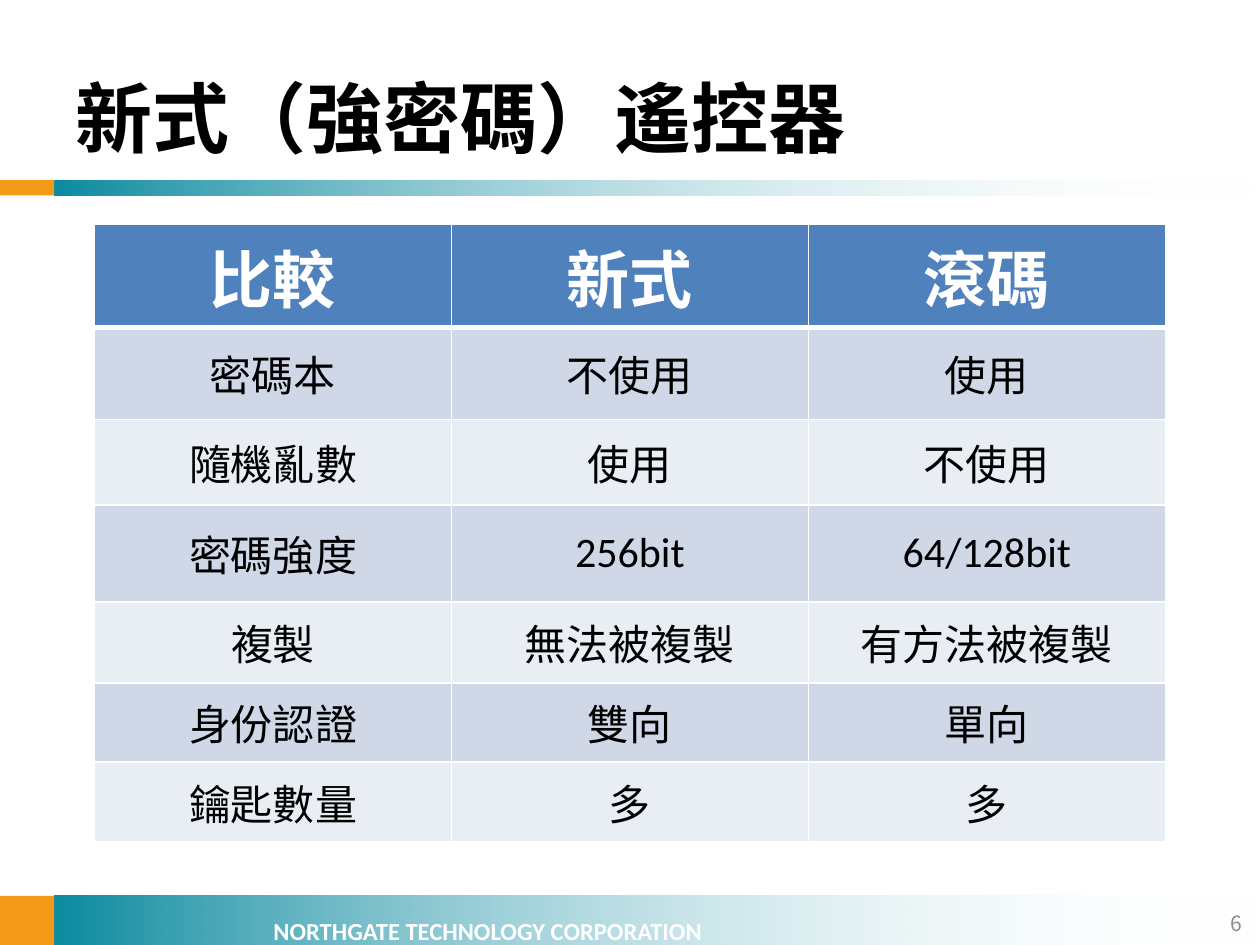
from lxml import etree
from pptx import Presentation
from pptx.dml.color import RGBColor
from pptx.enum.shapes import MSO_SHAPE
from pptx.enum.text import MSO_ANCHOR, PP_ALIGN
from pptx.oxml.ns import qn
from pptx.util import Inches, Pt

RECTANGLE = MSO_SHAPE.RECTANGLE
MIDDLE, TOP = MSO_ANCHOR.MIDDLE, MSO_ANCHOR.TOP
LEFT, CENTER, RIGHT = PP_ALIGN.LEFT, PP_ALIGN.CENTER, PP_ALIGN.RIGHT

WHITE = RGBColor(0xFF, 0xFF, 0xFF)
BLACK = RGBColor(0x00, 0x00, 0x00)
GRAY = RGBColor(0x8C, 0x8C, 0x8C)
TEAL = RGBColor(0x0D, 0x8B, 0xA0)
ORANGE = RGBColor(0xF3, 0x9B, 0x19)
HEADER_BLUE = RGBColor(0x4F, 0x81, 0xBD)
ROW_BANDS = [RGBColor(0xD0, 0xD8, 0xE8), RGBColor(0xE9, 0xED, 0xF4)]

LATIN_FONT = "Calibri"
CJK_FONT = "Noto Sans CJK SC"

# Content
TITLE = "新式（強密碼）遙控器"
COMPANY = "NORTHGATE TECHNOLOGY CORPORATION"
PAGE_NUMBER = "6"
COMPARISON = [
    ("比較", "新式", "滾碼"),
    ("密碼本", "不使用", "使用"),
    ("隨機亂數", "使用", "不使用"),
    ("密碼強度", "256bit", "64/128bit"),
    ("複製", "無法被複製", "有方法被複製"),
    ("身份認證", "雙向", "單向"),
    ("鑰匙數量", "多", "多"),
]
ROW_HEIGHTS = [0.82, 0.73, 0.68, 0.77, 0.64, 0.63, 0.63]

# Layout, in inches
SLIDE_WIDTH, SLIDE_HEIGHT = 10, 7.5
ACCENT_WIDTH = 0.43
BANDS = [(7.11, 0.39), (1.43, 0.12)]  # top, height
TABLE_LEFT, TABLE_TOP, TABLE_WIDTH = 0.75, 1.78, 8.5


def write(frame, text, size, color, font=CJK_FONT, bold=False, align=LEFT):
    frame.text = text
    paragraph = frame.paragraphs[0]
    paragraph.alignment = align
    run = paragraph.runs[0]
    run.font.size = Pt(size)
    run.font.bold = bold
    run.font.color.rgb = color
    run.font.name = font
    east_asian = etree.SubElement(run.font._element, qn("a:ea"))
    east_asian.set("typeface", CJK_FONT)


def add_text(slide, box, text, size, color, anchor=MIDDLE, margin=None, **style):
    frame = slide.shapes.add_textbox(*map(Inches, box)).text_frame
    frame.word_wrap = True
    frame.vertical_anchor = anchor
    if margin is not None:
        frame.margin_left = frame.margin_right = Inches(margin)
        frame.margin_top = frame.margin_bottom = Inches(margin)
    write(frame, text, size, color, **style)


def add_bar(slide, left, top, width, height):
    bar = slide.shapes.add_shape(RECTANGLE, *map(Inches, (left, top, width, height)))
    bar.shadow.inherit = False
    bar.line.fill.background()
    return bar


def add_band(slide, top, height):
    fade = add_bar(slide, ACCENT_WIDTH, top, SLIDE_WIDTH - ACCENT_WIDTH, height)
    fade.fill.gradient()
    fade.fill.gradient_angle = 0
    for stop, color, position in zip(fade.fill.gradient_stops, (TEAL, WHITE), (0, 1)):
        stop.color.rgb = color
        stop.position = position
    # The white end is fully transparent
    end_color = fade.element.findall(".//" + qn("a:gs"))[-1][0]
    etree.SubElement(end_color, qn("a:alpha")).set("val", "0")

    accent = add_bar(slide, 0, top, ACCENT_WIDTH, height)
    accent.fill.solid()
    accent.fill.fore_color.rgb = ORANGE


def set_borders(cell, widths):
    properties = cell._tc.get_or_add_tcPr()
    for index, (side, width) in enumerate(widths.items()):
        line = etree.Element(qn("a:ln" + side), w=str(Pt(width)))
        fill = etree.SubElement(line, qn("a:solidFill"))
        etree.SubElement(fill, qn("a:srgbClr")).set("val", str(WHITE))
        properties.insert(index, line)


def add_comparison(slide):
    rows, columns = len(COMPARISON), len(COMPARISON[0])
    table = slide.shapes.add_table(
        rows, columns, Inches(TABLE_LEFT), Inches(TABLE_TOP),
        Inches(TABLE_WIDTH), Inches(sum(ROW_HEIGHTS))).table
    for row, height in zip(table.rows, ROW_HEIGHTS):
        row.height = Inches(height)
    for r, values in enumerate(COMPARISON):
        is_header = r == 0
        for c, value in enumerate(values):
            cell = table.cell(r, c)
            cell.vertical_anchor = MIDDLE
            cell.fill.solid()
            cell.fill.fore_color.rgb = HEADER_BLUE if is_header else ROW_BANDS[(r - 1) % 2]
            if is_header:
                write(cell.text_frame, value, 36, WHITE, bold=True, align=CENTER)
            else:
                write(cell.text_frame, value, 24, BLACK, font=LATIN_FONT, align=CENTER)
            set_borders(cell, {"L": 1, "R": 1, "T": 3 if r == 1 else 1,
                               "B": 3 if is_header else 1})


def main():
    presentation = Presentation()
    presentation.slide_width = Inches(SLIDE_WIDTH)
    presentation.slide_height = Inches(SLIDE_HEIGHT)
    slide = presentation.slides.add_slide(presentation.slide_layouts[6])

    # Footer and title bands
    for top, height in BANDS:
        add_band(slide, top, height)

    # Texts
    add_text(slide, (2.17, 7.27, 3.86, 0.24), COMPANY, 14, WHITE, anchor=TOP,
             margin=0, font=LATIN_FONT, bold=True)
    add_text(slide, (0.5, 0.3, 9, 1.25), TITLE, 44, BLACK, bold=True)
    add_text(slide, (7.63, 7.13, 2.33, 0.4), PAGE_NUMBER, 12, GRAY, align=RIGHT)

    # Comparison table
    add_comparison(slide)
    presentation.save("out.pptx")


if __name__ == "__main__":
    main()
